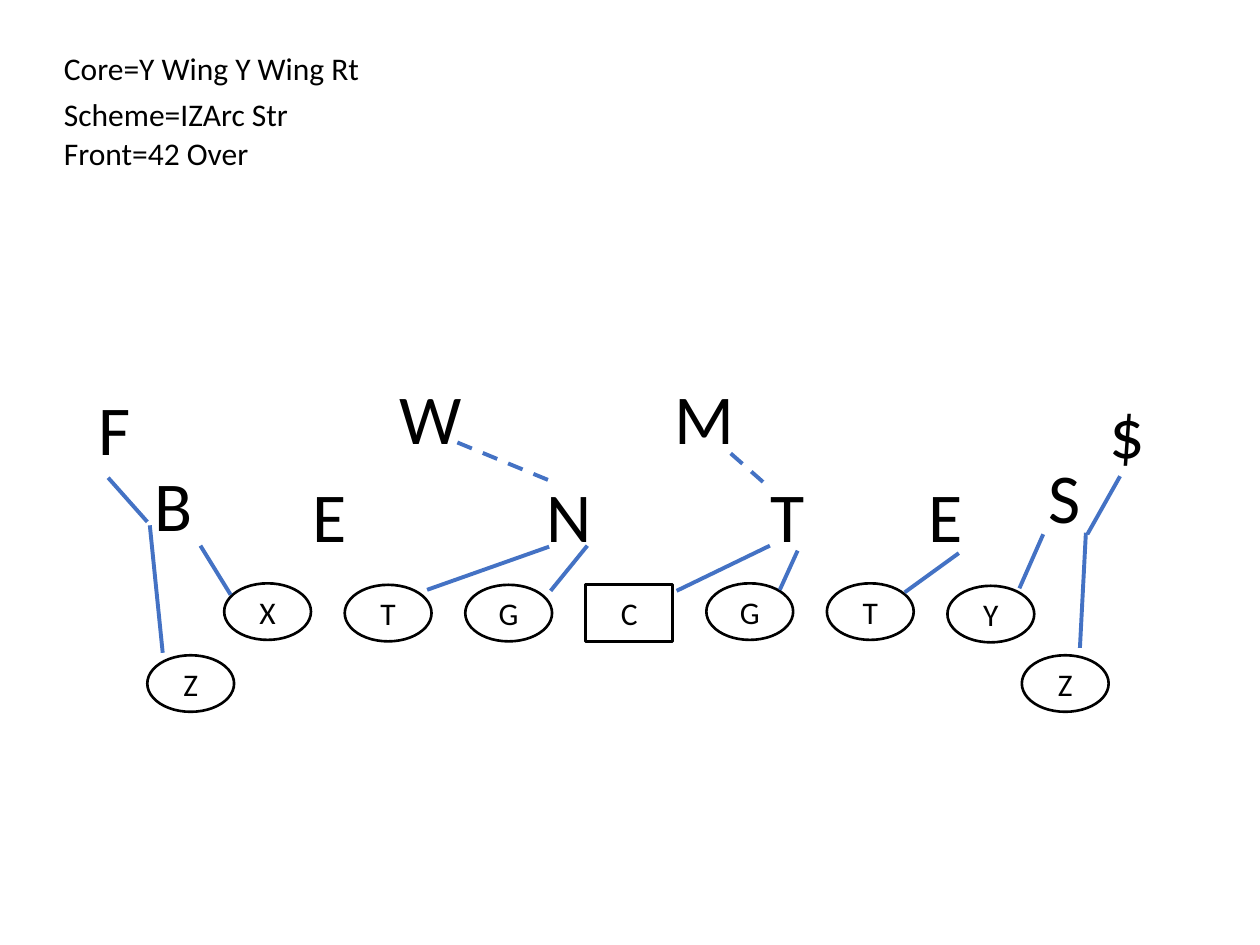
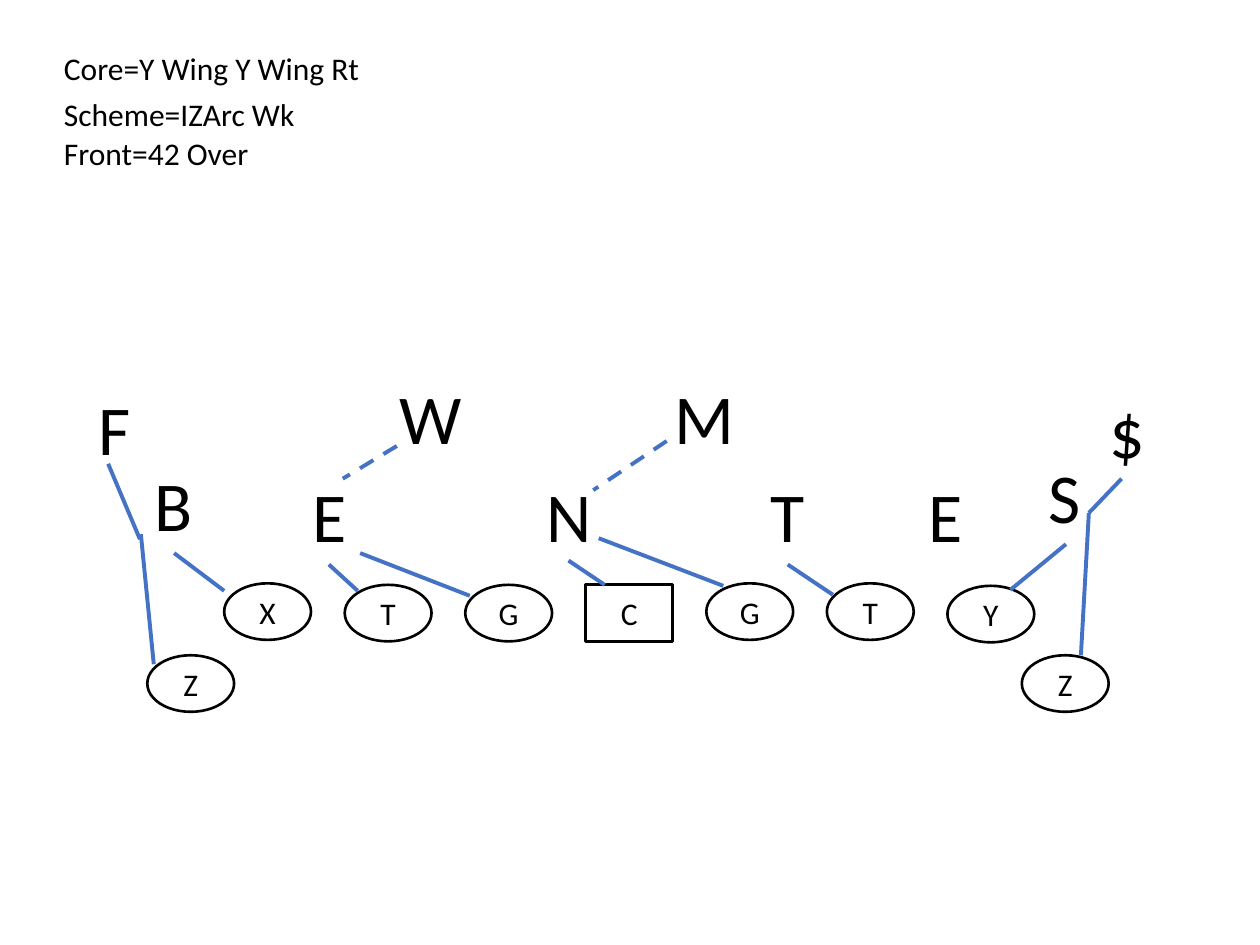
from dataclasses import dataclass

from lxml.etree import SubElement
from pptx import Presentation
from pptx.dml.color import RGBColor
from pptx.enum.dml import MSO_LINE
from pptx.enum.shapes import MSO_CONNECTOR, MSO_SHAPE
from pptx.enum.text import MSO_ANCHOR, PP_ALIGN
from pptx.oxml.ns import qn
from pptx.util import Cm, Pt


@dataclass(frozen=True)
class Theme:
    """Colours, font and sizes shared by all plays."""
    ink: RGBColor = RGBColor(0, 0, 0)
    paper: RGBColor = RGBColor(255, 255, 255)
    block: RGBColor = RGBColor(0x44, 0x72, 0xC4)
    font: str = "Calibri"
    small: Pt = Pt(18)
    large: Pt = Pt(40)
    outline: Pt = Pt(1.5)
    block_width: Pt = Pt(2.25)


THEME = Theme()

# All positions are in centimetres.
PLAYER_WIDTH, PLAYER_HEIGHT = 1.75, 1.14
LINE_LEFT, LINE_PITCH = 4.52, 2.43
LINE_PLAYERS = [("X", 11.76), ("T", 11.79), ("G", 11.79), ("C", 11.79),
                ("G", 11.76), ("T", 11.76), ("Y", 11.81)]
OFFENSE = [(role, LINE_LEFT + spot * LINE_PITCH, top)
           for spot, (role, top) in enumerate(LINE_PLAYERS)]
OFFENSE += [("Z", 2.97, 13.21), ("Z", 20.60, 13.21)]

# Role, left, top, width
DEFENSE = [
    ("F", 1.73, 7.65, 0.89), ("B", 2.87, 9.17, 1.30),
    ("E", 6.05, 9.40, 1.22), ("W", 7.80, 7.42, 1.78),
    ("N", 10.77, 9.40, 1.42), ("M", 13.34, 7.42, 1.78),
    ("T", 15.29, 9.40, 1.22), ("E", 18.47, 9.40, 1.22),
    ("S", 20.88, 9.02, 1.22), ("$", 22.12, 7.70, 0.99),
]

# Each assignment runs from x, y to x, y; reads of the linebackers are dashed.
PLAYS = [
    {
        "scheme": "Scheme=IZArc Str",
        "blocks": [
            (2.18, 9.63, 2.97, 10.52), (3.02, 10.59, 3.28, 13.16),
            (4.04, 11.00, 4.65, 11.99), (11.07, 11.02, 8.61, 11.89),
            (11.84, 11.00, 11.10, 11.91), (15.52, 11.00, 13.64, 11.91),
            (16.08, 11.10, 15.72, 11.89), (19.33, 11.15, 18.24, 11.94),
            (21.03, 10.77, 20.55, 11.86), (22.58, 9.60, 21.92, 10.77),
            (21.89, 10.74, 21.77, 13.06),
        ],
        "reads": [(9.22, 8.92, 11.23, 9.75), (14.73, 9.14, 15.42, 9.75)],
    },
    {
        "scheme": "Scheme=IZArc Wk",
        "blocks": [
            (2.82, 10.87, 2.18, 9.35), (2.84, 10.77, 3.10, 13.39),
            (3.51, 11.15, 4.52, 11.91), (6.63, 11.38, 7.21, 11.91),
            (7.26, 11.15, 9.47, 12.01), (11.46, 11.30, 12.19, 11.79),
            (12.07, 10.85, 14.58, 11.81), (15.88, 11.38, 16.79, 11.99),
            (21.49, 10.97, 20.37, 11.89), (22.61, 9.65, 21.95, 10.34),
            (21.95, 10.34, 21.79, 13.21),
        ],
        "reads": [(8.00, 8.99, 6.91, 9.65), (13.44, 8.89, 11.96, 9.88)],
    },
]


def write(frame, text, size, wrap=True):
    """Put one run of text in the frame and return its paragraph."""
    frame.word_wrap = wrap
    paragraph = frame.paragraphs[0]
    run = paragraph.add_run()
    run.text = text
    run.font.name = THEME.font
    run.font.size = size
    run.font.color.rgb = THEME.ink
    return paragraph


def draw_assignment(slide, ends, dashed):
    """Draw one blocking line between two points."""
    line = slide.shapes.add_connector(MSO_CONNECTOR.STRAIGHT, *map(Cm, ends))
    line.line.color.rgb = THEME.block
    line.line.width = THEME.block_width
    if dashed:
        line.line.dash_style = MSO_LINE.DASH
    SubElement(line._element.spPr, qn("a:effectLst"))


deck = Presentation()
deck.slide_width, deck.slide_height = Cm(25.4), Cm(19.05)
blank = deck.slide_layouts[6]

for play in PLAYS:
    slide = deck.slides.add_slide(blank)

    headings = [("Core=Y Wing Y Wing Rt", 0.86, 6.53),
                (play["scheme"], 1.80, 5.15),
                ("Front=42 Over", 2.57, 4.42)]
    for heading, top, width in headings:
        box = slide.shapes.add_textbox(Cm(1.04), Cm(top), Cm(width), Cm(1.02))
        write(box.text_frame, heading, THEME.small, wrap=False)

    for role, left, top in OFFENSE:
        outline = MSO_SHAPE.RECTANGLE if role == "C" else MSO_SHAPE.OVAL
        player = slide.shapes.add_shape(outline, Cm(left), Cm(top),
                                        Cm(PLAYER_WIDTH), Cm(PLAYER_HEIGHT))
        player.shadow.inherit = False
        player.fill.solid()
        player.fill.fore_color.rgb = THEME.paper
        player.line.color.rgb = THEME.ink
        player.line.width = THEME.outline
        player.text_frame.vertical_anchor = MSO_ANCHOR.MIDDLE
        write(player.text_frame, role, THEME.small).alignment = PP_ALIGN.CENTER

    for role, left, top, width in DEFENSE:
        defender = slide.shapes.add_textbox(Cm(left), Cm(top), Cm(width), Cm(1.96))
        write(defender.text_frame, role, THEME.large)

    for kind in ("blocks", "reads"):
        for ends in play[kind]:
            draw_assignment(slide, ends, dashed=kind == "reads")

deck.save("out.pptx")
